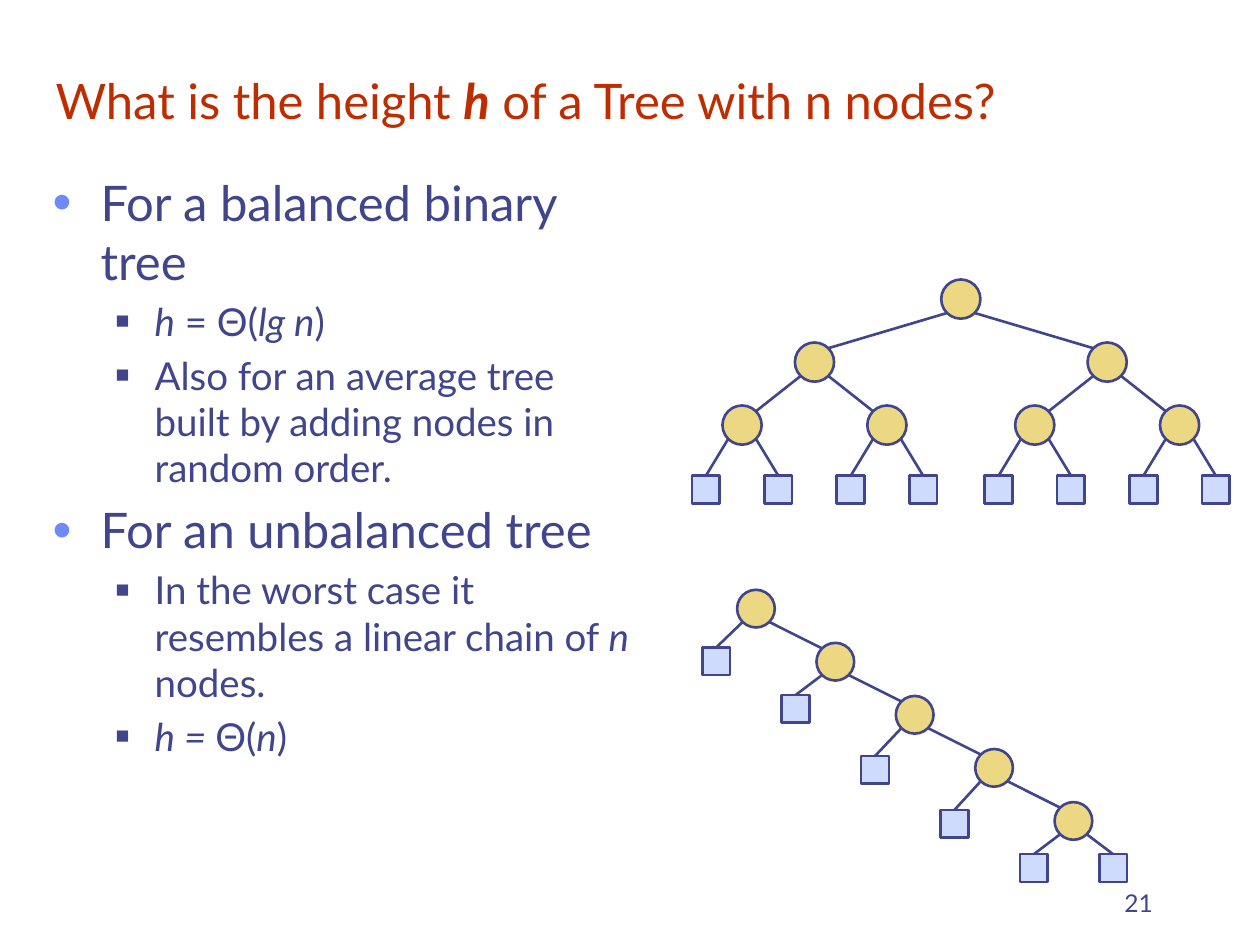
from dataclasses import dataclass

from lxml.etree import SubElement
from pptx import Presentation
from pptx.dml.color import RGBColor
from pptx.enum.shapes import MSO_CONNECTOR, MSO_SHAPE
from pptx.enum.text import MSO_ANCHOR, PP_ALIGN
from pptx.oxml.ns import qn
from pptx.util import Cm, Pt


@dataclass(frozen=True)
class Theme:
    font: str = "Lato"
    title: str = "BE2D00"
    ink: str = "40458C"
    dot: str = "6F89F7"
    node: str = "ECD882"
    leaf: str = "CFDBFD"
    head: int = 28
    sub: int = 22
    page: int = 14
    line: float = 1.5


THEME = Theme()

# Text between asterisks is italic.
TITLE = "What is the height *h* of a Tree with n nodes?"
BODY = [
    (0, "For a balanced binary tree"),
    (1, "*h* = Θ(*lg n*)"),
    (1, "Also for an average tree built by adding nodes in random order."),
    (0, "For an unbalanced tree"),
    (1, "In the worst case it resembles a linear chain of *n* nodes."),
    (1, "*h = *Θ(*n*)"),
]
PAGE = "21"

# Per level: left margin, hanging indent (cm), mark, mark size in %, colour, type size
LEVELS = [
    (0.97, 0.97, "•", 110, THEME.dot, THEME.head),
    (2.06, 0.79, "■", 60, THEME.ink, THEME.sub),
]

# Tree measures in cm
ROOT_X = 19.37
ROWS = [6.03, 7.3, 8.57, 9.87]
SPREAD = [2.95, 1.46, 0.73]
CHAIN = (15.24, 12.27)
STEP = (1.6, 1.07)
CHAIN_LEAVES = [13.33, 14.29, 15.52, 16.61, 17.5]
SQUARE = 0.56


def balanced(x=ROOT_X, level=0):
    """Return a node as (x, y, children); a leaf has no children."""
    kids = []
    if level < len(SPREAD):
        kids = [balanced(x + side * SPREAD[level], level + 1) for side in (-1, 1)]
    return x, ROWS[level], kids


def chain(level=0):
    """Return a node whose left child is a leaf and whose right child goes on."""
    x, y = (start + level * step for start, step in zip(CHAIN, STEP))
    low = CHAIN_LEAVES[level]
    last = level == len(CHAIN_LEAVES) - 1
    right = (x + STEP[0] / 2, low, []) if last else chain(level + 1)
    return x, y, [(x - STEP[0] / 2, low, []), right]


def rgb(code):
    return RGBColor.from_string(code)


def pen(line):
    line.color.rgb = rgb(THEME.ink)
    line.width = Pt(THEME.line)


def edges(group, node, size):
    """Join each circle at 45 degrees to its child circles or to leaf tops."""
    x, y, kids = node
    slant = size / 2 * 0.71
    for kid in kids:
        kx, ky, more = kid
        side = 1 if kx > x else -1
        end = (kx - side * slant, ky - slant) if more else (kx, ky - SQUARE / 2)
        spots = (x + side * slant, y + slant, *end)
        wire = group.shapes.add_connector(MSO_CONNECTOR.STRAIGHT, *map(Cm, spots))
        pen(wire.line)
        SubElement(wire._element.spPr, qn("a:effectLst"))
        edges(group, kid, size)


def nodes(group, node, size):
    x, y, kids = node
    kind, side, fill = (
        (MSO_SHAPE.OVAL, size, THEME.node) if kids
        else (MSO_SHAPE.RECTANGLE, SQUARE, THEME.leaf)
    )
    place = (x - side / 2, y - side / 2, side, side)
    shape = group.shapes.add_shape(kind, *map(Cm, place))
    shape.shadow.inherit = False
    shape.fill.solid()
    shape.fill.fore_color.rgb = rgb(fill)
    pen(shape.line)
    for kid in kids:
        nodes(group, kid, size)


def tree(slide, root, size):
    group = slide.shapes.add_group_shape()
    edges(group, root, size)
    nodes(group, root, size)


def box(slide, place, anchor):
    frame = slide.shapes.add_textbox(*map(Cm, place)).text_frame
    frame.word_wrap = True
    frame.vertical_anchor = anchor
    return frame


def write(para, text, size, color, bold=False):
    """Fill a paragraph; bold applies to the italic parts only."""
    para.font.name = THEME.font
    para.font.size = Pt(size)
    para.font.color.rgb = rgb(color)
    for i, part in enumerate(text.split("*")):
        if part:
            run = para.add_run()
            run.text = part
            if i % 2:
                run.font.italic = True
                run.font.bold = bold


def bullet(para, level):
    left, hang, mark, scale, color, size = LEVELS[level]
    para.level = level
    para.space_before = Pt(size * 0.2)
    props = para._p.get_or_add_pPr()
    props.set("marL", str(Cm(left)))
    props.set("indent", str(-Cm(hang)))
    tint = SubElement(props, qn("a:buClr"))
    SubElement(tint, qn("a:srgbClr"), val=color)
    SubElement(props, qn("a:buSzPct"), val=str(scale * 1000))
    SubElement(props, qn("a:buFont"), typeface="Arial")
    SubElement(props, qn("a:buChar"), char=mark)


def main():
    deck = Presentation()
    deck.slide_width, deck.slide_height = Cm(25.4), Cm(19.05)
    slide = deck.slides.add_slide(deck.slide_layouts[6])

    title = box(slide, (0.87, -0.43, 21.6, 3.17), MSO_ANCHOR.BOTTOM)
    write(title.paragraphs[0], TITLE, THEME.head, THEME.title, bold=True)

    body = box(slide, (0.81, 3.35, 12.12, 13.39), MSO_ANCHOR.TOP)
    for i, (level, text) in enumerate(BODY):
        para = body.add_paragraph() if i else body.paragraphs[0]
        bullet(para, level)
        write(para, text, LEVELS[level][-1], THEME.ink)

    page = box(slide, (18.21, 17.35, 5.28, 1.27), MSO_ANCHOR.BOTTOM)
    page.paragraphs[0].alignment = PP_ALIGN.RIGHT
    write(page.paragraphs[0], PAGE, THEME.page, THEME.ink)

    tree(slide, chain(), 0.76)
    tree(slide, balanced(), 0.79)
    deck.save("out.pptx")


if __name__ == "__main__":
    main()
